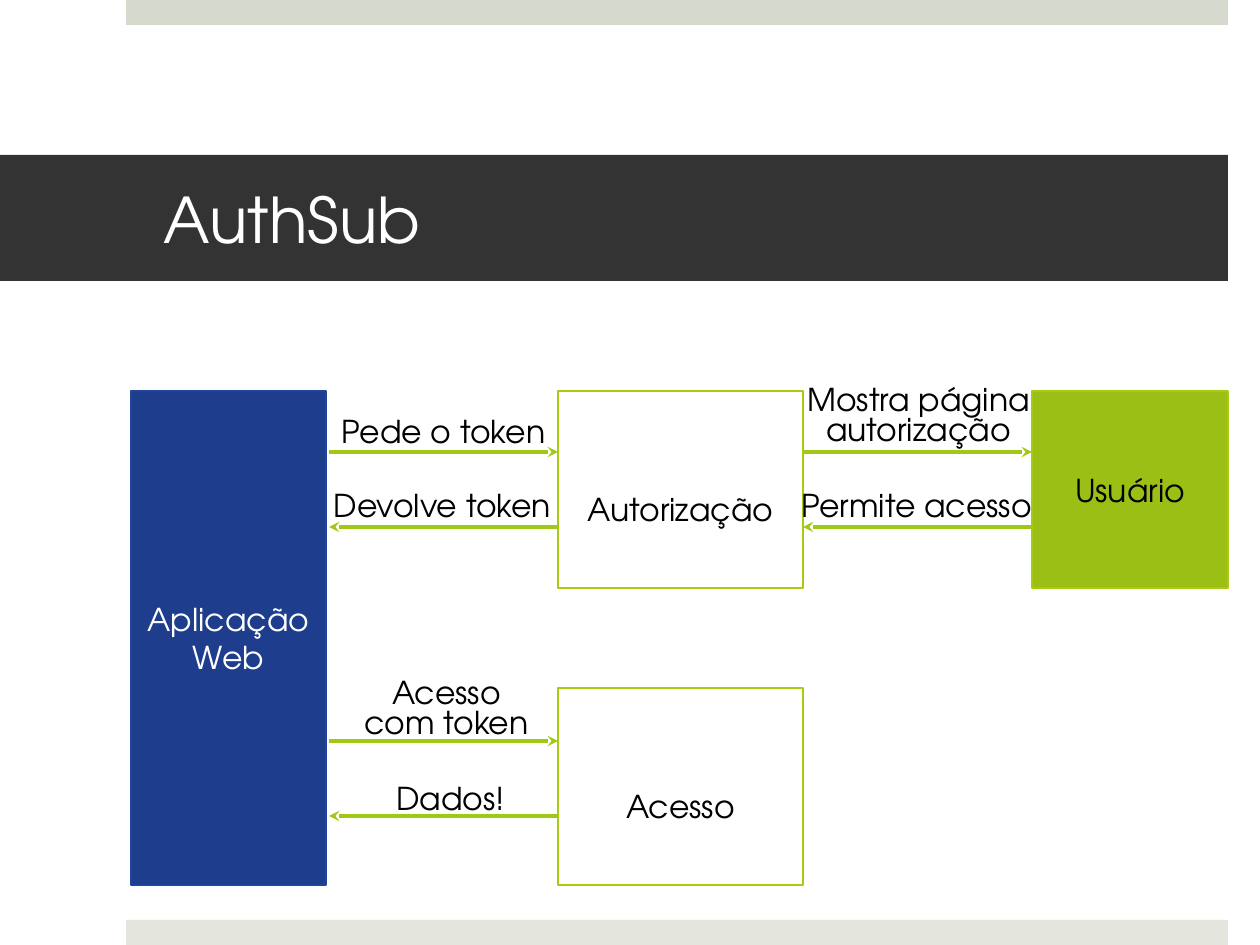
from lxml.etree import SubElement
from pptx import Presentation
from pptx.dml.color import RGBColor
from pptx.enum.shapes import MSO_CONNECTOR, MSO_SHAPE
from pptx.enum.text import MSO_ANCHOR, PP_ALIGN
from pptx.oxml.ns import qn
from pptx.util import Emu, Pt

COLORS = {
    "top_bar": "D6D9CD", "bottom_bar": "E4E6DE", "title": "333333",
    "app": "1E3E8D", "app_line": "1E439E", "user": "9BBF15",
    "box_line": "A5CC12", "arrow": "A2C816", "white": "FFFFFF", "black": "000000",
}


def px(n):
    return Emu(round(n * 914400 / 126))


def color(name):
    return RGBColor.from_string(COLORS[name])


class Deck:
    font = "TeX Gyre Adventor"

    def __init__(self, slide):
        self.s = slide

    def put_text(self, tf, text, size=18, ink="black", align=PP_ALIGN.CENTER, spacing=None):
        tf.text = text
        for p in tf.paragraphs:
            p.alignment = align
            p.line_spacing = spacing
            for r in p.runs:
                r.font.name = self.font
                r.font.size = Pt(size)
                r.font.color.rgb = color(ink)

    def box(self, x, y, w, h, fill=None, line=None):
        sp = self.s.shapes.add_shape(MSO_SHAPE.RECTANGLE, px(x), px(y), px(w), px(h))
        sp.shadow.inherit = False
        if fill:
            sp.fill.solid()
            sp.fill.fore_color.rgb = color(fill)
        else:
            sp.fill.background()
        if line:
            sp.line.color.rgb = color(line)
            sp.line.width = Pt(1)
        else:
            sp.line.fill.background()
        tf = sp.text_frame
        tf.word_wrap = True
        tf.vertical_anchor = MSO_ANCHOR.MIDDLE
        return tf

    def label(self, text, x, y, w):
        lines = text.count("\n") + 1
        tb = self.s.shapes.add_textbox(px(x), px(y), px(w), px(50 if lines == 1 else 76))
        tb.text_frame.word_wrap = False
        self.put_text(tb.text_frame, text, spacing=0.8 if lines > 1 else None)

    def arrow(self, x1, x2, y):
        c = self.s.shapes.add_connector(MSO_CONNECTOR.STRAIGHT, px(x1), px(y), px(x2), px(y))
        c.line.color.rgb = color("arrow")
        c.line.width = Pt(2)
        props = c._element.spPr
        SubElement(props.find(qn("a:ln")), qn("a:tailEnd"), type="stealth")
        SubElement(props, qn("a:effectLst"))


def main():
    prs = Presentation()
    prs.slide_width, prs.slide_height = px(1260), px(945)
    deck = Deck(prs.slides.add_slide(prs.slide_layouts[6]))

    # Bars and title band
    deck.box(126, 0, 1102, 25, "top_bar")
    deck.box(126, 920, 1102, 25, "bottom_bar")
    tf = deck.box(0, 155, 1228, 126, "title")
    tf.margin_left, tf.margin_right = px(164), px(38)
    deck.put_text(tf, "AuthSub", 36, "white", PP_ALIGN.LEFT)

    # Application and user
    deck.put_text(deck.box(131, 391, 195, 494, "app", "app_line"), "Aplicação\nWeb", ink="white")
    deck.put_text(deck.box(1032, 391, 196, 197, "user", "box_line"), "Usuário")

    # Services, with their names set half a line below the middle
    for name, y in (("Autorização", 391), ("Acesso", 688)):
        tf = deck.box(558, y, 245, 197, line="box_line")
        tf.margin_top = px(44)
        deck.put_text(tf, name)

    # Request and reply arrows, 75 px apart
    for left, y in ((803, 452), (329, 452), (329, 741)):
        right = left + 229
        deck.arrow(left, right, y)
        deck.arrow(right, left, y + 75)

    # Message labels
    for text, x, y, w in (
        ("Pede o token", 327, 406, 233),
        ("Mostra página\nautorização", 793, 381, 251),
        ("Devolve token", 318, 480, 249),
        ("Permite acesso", 786, 480, 261),
        ("Acesso\ncom token", 350, 674, 193),
        ("Dados!", 383, 773, 135),
    ):
        deck.label(text, x, y, w)

    prs.save("out.pptx")


if __name__ == "__main__":
    main()
